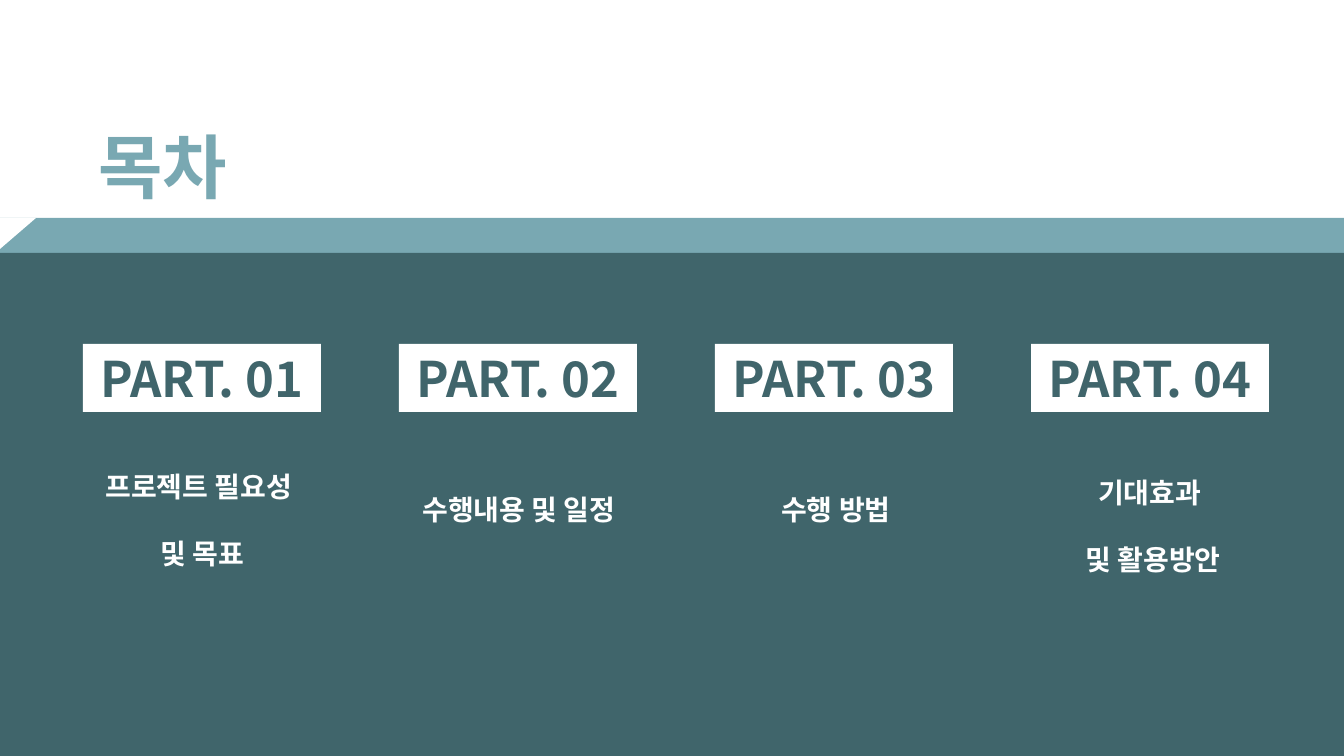
from lxml import etree
from pptx import Presentation
from pptx import util as u
from pptx.dml.color import RGBColor
from pptx.enum import shapes, text
from pptx.oxml.ns import qn

WIDTH, HEIGHT = 1344, 756
SCALE = 12192000 / WIDTH
FONT = "Noto Sans CJK KR"
WHITE, LIGHT_TEAL, DARK_TEAL = "FFFFFF", "79A8B2", "40656B"
COLUMN_LEFT, COLUMN_WIDTH = 83, 238
PART_PITCH, TOPIC_PITCH = 316, 317
TOPICS = [
    (431, 135, "프로젝트 필요성 \n및 목표"),
    (454, 68, "수행내용 및 일정"),
    (454, 68, "수행 방법"),
    (437, 135, "기대효과 \n및 활용방안"),
]


def px(*lengths):
    return [u.Emu(round(length * SCALE)) for length in lengths]


def color(value):
    return RGBColor.from_string(value)


def write(shape, words, size, hex_color, line_spacing=1):
    frame = shape.text_frame
    frame.text = words
    frame.word_wrap = True
    frame.auto_size = text.MSO_AUTO_SIZE.SHAPE_TO_FIT_TEXT
    for paragraph in frame.paragraphs:
        paragraph.alignment = text.PP_ALIGN.CENTER
        paragraph.line_spacing = line_spacing
        for run in paragraph.runs:
            run.font.size = u.Pt(size)
            run.font.bold = True
            run.font.color.rgb = color(hex_color)
            run.font.name = FONT
            east_asian = etree.SubElement(run.font._element, qn("a:ea"))
            east_asian.set("typeface", FONT)


def add_block(slide, box, fill, kind=shapes.MSO_SHAPE.RECTANGLE):
    shape = slide.shapes.add_shape(kind, *px(*box))
    shape.shadow.inherit = False
    shape.fill.solid()
    shape.fill.fore_color.rgb = color(fill)
    shape.line.fill.background()
    return shape


def add_corner(slide, box):
    corner = add_block(slide, box, WHITE, shapes.MSO_SHAPE.ISOSCELES_TRIANGLE)
    corner.adjustments[0] = 0
    corner._element.spPr.xfrm.set("flipV", "1")


def add_label(slide, box, words, size, hex_color, line_spacing=1):
    label = slide.shapes.add_textbox(*px(*box))
    write(label, words, size, hex_color, line_spacing)


def main():
    presentation = Presentation()
    presentation.slide_width, presentation.slide_height = px(WIDTH, HEIGHT)
    slide = presentation.slides.add_slide(presentation.slide_layouts[6])

    add_block(slide, (0, 218, WIDTH, HEIGHT - 218), LIGHT_TEAL)
    add_block(slide, (0, 253, WIDTH, HEIGHT - 253), DARK_TEAL)
    add_corner(slide, (0, 218, 36, 31))
    add_label(slide, (56, 119, 214, 94), "목차", 50, LIGHT_TEAL)

    for index, (top, height, topic) in enumerate(TOPICS):
        part_left = COLUMN_LEFT + index * PART_PITCH
        part = add_block(slide, (part_left, 344, COLUMN_WIDTH, 68), WHITE)
        write(part, f"PART. {index + 1:02}", 35, DARK_TEAL)
        topic_left = COLUMN_LEFT + index * TOPIC_PITCH
        add_label(slide, (topic_left, top, COLUMN_WIDTH, height), topic, 20, WHITE, 2.0)

    presentation.save("out.pptx")


if __name__ == "__main__":
    main()
